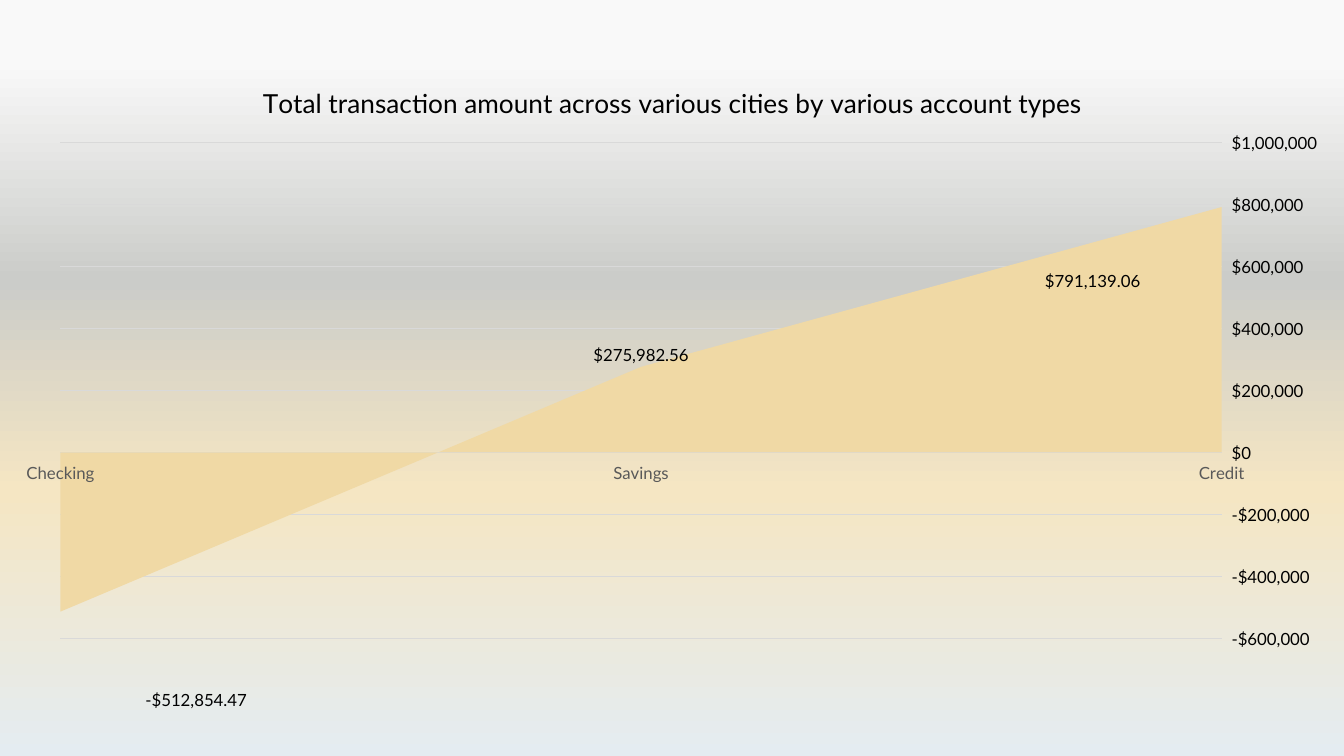
from copy import deepcopy

from lxml import etree
from pptx import Presentation
from pptx.chart.data import CategoryChartData
from pptx.dml.color import RGBColor
from pptx.enum.chart import XL_CHART_TYPE as ChartType, XL_TICK_MARK as TickMark
from pptx.oxml.ns import qn
from pptx.util import Inches, Pt

TITLE = "Total transaction amount across various cities by various account types"
BALANCES = {"Credit": 791139.06, "Savings": 275982.56, "Checking": -512854.47}
LABEL_SHIFTS = {"Credit": (-0.096, -0.222), "Savings": (0, -0.23), "Checking": (0.101, 0.116)}
BACKGROUND_STOPS = [(0.08, "F9F9F9"), (0.37, "CBCCC9"), (0.65, "F5E6C3"), (1, "E4ECF1")]
AXIS_FORMAT = "[$$-409]#,##0"
LABEL_FORMAT = "[$$-409]#,##0.00"
CHART_BOX = (0, 0.66, 13.33, 6.38)
PLOT_LAYOUT = {"layoutTarget": "inner", "xMode": "edge", "yMode": "edge",
               "x": 0.045, "y": 0.118, "w": 0.864, "h": 0.773}
TITLE_LAYOUT = {"xMode": "edge", "yMode": "edge", "x": 0.192, "y": 0.02}


class Theme:
    font = "Lato"
    ink = "000000"
    muted = "595959"
    grid = "D9D9D9"
    area = "F0D9A5"
    title_size = 18.7
    label_size = 12
    base_size = 10
    grid_width = 0.75


def style_font(font, size, color):
    font.name = Theme.font
    font.size = Pt(size)
    font.bold = False
    font.color.rgb = RGBColor.from_string(color)


def set_layout(parent, index, settings):
    for existing in parent.findall(qn("c:layout")):
        parent.remove(existing)
    layout = etree.Element(qn("c:layout"))
    manual = etree.SubElement(layout, qn("c:manualLayout"))
    for name, value in settings.items():
        etree.SubElement(manual, qn(f"c:{name}")).set("val", str(value))
    parent.insert(index, layout)


def paint_background(slide):
    fill = slide.background.fill
    fill.gradient()
    fill.gradient_angle = 270
    stop_list = next(slide.element.iter(qn("a:gsLst")))
    while len(stop_list) < len(BACKGROUND_STOPS):
        stop_list.append(deepcopy(stop_list[0]))
    for stop, (position, color) in zip(fill.gradient_stops, BACKGROUND_STOPS):
        stop.position = position
        stop.color.rgb = RGBColor.from_string(color)


def add_title(chart):
    chart.has_title = True
    title = chart.chart_title
    title.include_in_layout = False
    run = title.text_frame.paragraphs[0].add_run()
    run.text = TITLE
    style_font(run.font, Theme.title_size, Theme.ink)
    set_layout(title._element, 1, TITLE_LAYOUT)


def style_axes(chart):
    axes = [(chart.category_axis, Theme.muted, TickMark.OUTSIDE),
            (chart.value_axis, Theme.ink, TickMark.CROSS)]
    for axis, color, tick in axes:
        style_font(axis.tick_labels.font, Theme.label_size, color)
        axis.tick_labels.number_format = AXIS_FORMAT
        axis.tick_labels.number_format_is_linked = False
        axis.major_tick_mark = tick
        axis.minor_tick_mark = TickMark.NONE
        axis.format.line.fill.background()
    chart.category_axis.reverse_order = True
    chart.category_axis.has_major_gridlines = False
    values = chart.value_axis
    values.minimum_scale, values.maximum_scale = -600000, 1000000
    values.major_unit = 200000
    values.has_major_gridlines = True
    grid_line = values.major_gridlines.format.line
    grid_line.color.rgb = RGBColor.from_string(Theme.grid)
    grid_line.width = Pt(Theme.grid_width)
    values._element.find(qn("c:crossBetween")).set("val", "midCat")


def style_series(series):
    series.format.fill.solid()
    series.format.fill.fore_color.rgb = RGBColor.from_string(Theme.area)
    series.format.line.fill.background()
    labels = series.data_labels
    labels.show_value = True
    labels.number_format = LABEL_FORMAT
    labels.number_format_is_linked = False
    style_font(labels.font, Theme.label_size, Theme.ink)
    for index, (x, y) in enumerate(LABEL_SHIFTS.values()):
        style_font(series.points[index].data_label.font, Theme.label_size, Theme.ink)
        label = labels._element.findall(qn("c:dLbl"))[index]
        set_layout(label, 1, {"x": x, "y": y})
    for leader_lines in labels._element.findall(qn("c:showLeaderLines")):
        leader_lines.set("val", "0")


def add_balance_chart(slide):
    data = CategoryChartData(number_format=LABEL_FORMAT)
    data.categories = list(BALANCES)
    data.add_series("Series 1", list(BALANCES.values()))
    box = [Inches(length) for length in CHART_BOX]
    chart = slide.shapes.add_chart(ChartType.AREA, *box, data).chart
    style_font(chart.font, Theme.base_size, Theme.ink)
    chart.has_legend = False
    add_title(chart)
    style_axes(chart)
    chart.plots[0].vary_by_categories = False
    style_series(chart.plots[0].series[0])
    set_layout(next(chart.element.iter(qn("c:plotArea"))), 0, PLOT_LAYOUT)


def main():
    presentation = Presentation()
    presentation.slide_width = Inches(13.33)
    presentation.slide_height = Inches(7.5)
    slide = presentation.slides.add_slide(presentation.slide_layouts[6])
    paint_background(slide)
    add_balance_chart(slide)
    presentation.save("out.pptx")


if __name__ == "__main__":
    main()
